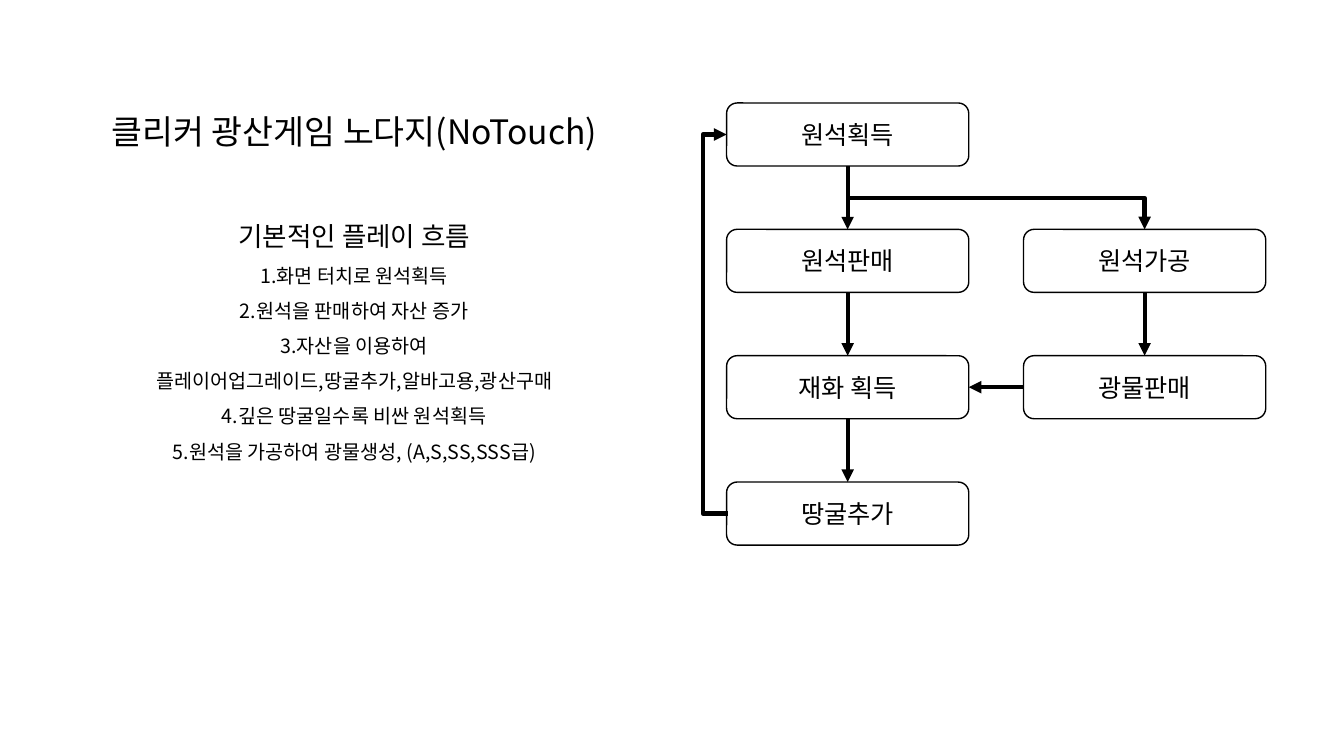
from dataclasses import dataclass

from lxml.etree import SubElement
from pptx import Presentation
from pptx.dml.color import RGBColor
from pptx.enum.shapes import MSO_CONNECTOR, MSO_SHAPE
from pptx.enum.text import MSO_ANCHOR, PP_ALIGN
from pptx.oxml.ns import qn
from pptx.util import Pt


@dataclass(frozen=True)
class Theme:
    ink: RGBColor = RGBColor(0, 0, 0)
    font: str = "Noto Sans CJK KR"
    title: int = 24
    heading: int = 19
    step: int = 14
    box: int = 18
    outline: int = 1
    arrow: int = 3


theme = Theme()


def write_text(paragraph, text, size, space_before=0, line_spacing=1.0):
    paragraph.alignment = PP_ALIGN.CENTER
    paragraph.space_before = Pt(space_before)
    paragraph.line_spacing = line_spacing
    run = paragraph.add_run()
    run.text = text
    run.font.size = Pt(size)
    run.font.name = theme.font
    run.font.color.rgb = theme.ink
    SubElement(run.font._element, qn("a:ea"), typeface=theme.font)


def add_arrow(kind, start_x, start_y, end_x, end_y):
    arrow = slide.shapes.add_connector(
        kind, Pt(start_x), Pt(start_y), Pt(end_x), Pt(end_y))
    arrow.line.color.rgb = theme.ink
    arrow.line.width = Pt(theme.arrow)
    properties = arrow._element.spPr
    SubElement(properties.find(qn("a:ln")), qn("a:tailEnd"), type="triangle")
    SubElement(properties, qn("a:effectLst"))
    return arrow


presentation = Presentation()
presentation.slide_width = Pt(960)
presentation.slide_height = Pt(540)
slide = presentation.slides.add_slide(presentation.slide_layouts[6])

# Title and play flow
description = slide.shapes.add_textbox(Pt(65.5), Pt(79.2), Pt(375), Pt(310))
text_frame = description.text_frame
text_frame.word_wrap = True
write_text(text_frame.paragraphs[0], "클리커 광산게임 노다지(NoTouch)",
           size=theme.title, space_before=10, line_spacing=0.9)
write_text(text_frame.add_paragraph(), "기본적인 플레이 흐름",
           size=theme.heading, space_before=51, line_spacing=0.9)
steps = [
    "1.화면 터치로 원석획득",
    "2.원석을 판매하여 자산 증가",
    "3.자산을 이용하여",
    "플레이어업그레이드,땅굴추가,알바고용,광산구매",
    "4.깊은 땅굴일수록 비싼 원석획득",
    "5.원석을 가공하여 광물생성, (A,S,SS,SSS급)",
]
for step in steps:
    write_text(text_frame.add_paragraph(), step,
               size=theme.step, space_before=10, line_spacing=0.9)

# Flowchart boxes on a grid of two columns and four rows
left, top = 519, 73.6
box_width, box_height = 173, 45
column_pitch, row_pitch = 212.1, 90.25
labels = {
    (0, 0): "원석획득",
    (0, 1): "원석판매",
    (0, 2): "재화 획득",
    (0, 3): "땅굴추가",
    (1, 1): "원석가공",
    (1, 2): "광물판매",
}
boxes = {}
for (column, row), label in labels.items():
    box = slide.shapes.add_shape(
        MSO_SHAPE.ROUNDED_RECTANGLE,
        Pt(left + column * column_pitch), Pt(top + row * row_pitch),
        Pt(box_width), Pt(box_height))
    box.shadow.inherit = False
    box.fill.background()
    box.line.color.rgb = theme.ink
    box.line.width = Pt(theme.outline)
    box.text_frame.vertical_anchor = MSO_ANCHOR.MIDDLE
    write_text(box.text_frame.paragraphs[0], label, size=theme.box)
    boxes[column, row] = box

# Straight arrows: source box, its side, target box, its side
links = [
    ((0, 0), 2, (0, 1), 0),
    ((0, 1), 2, (0, 2), 0),
    ((0, 2), 2, (0, 3), 0),
    ((1, 1), 2, (1, 2), 0),
    ((1, 2), 1, (0, 2), 3),
]
for source, source_side, target, target_side in links:
    arrow = add_arrow(MSO_CONNECTOR.STRAIGHT, 0, 0, 0, 0)
    arrow.begin_connect(boxes[source], source_side)
    arrow.end_connect(boxes[target], target_side)

# Branch to the second column: a flipped elbow turned by 270 degrees
gap = row_pitch - box_height
center_x = left + (box_width + column_pitch) / 2
center_y = top + box_height + gap / 2
branch = add_arrow(MSO_CONNECTOR.ELBOW,
                   center_x + gap / 2, center_y - column_pitch / 2,
                   center_x - gap / 2, center_y + column_pitch / 2)
branch._element.spPr.find(qn("a:xfrm")).set("rot", str(270 * 60000))

# Loop from the last box back to the first, bending 17 points to the left
first_y = top + box_height / 2
loop = add_arrow(MSO_CONNECTOR.ELBOW,
                 left + 1, first_y + 3 * row_pitch, left, first_y)
geometry = loop._element.spPr.find(qn("a:prstGeom"))
SubElement(geometry.find(qn("a:avLst")), qn("a:gd"),
           name="adj1", fmla="val 1800000")

presentation.save("out.pptx")
